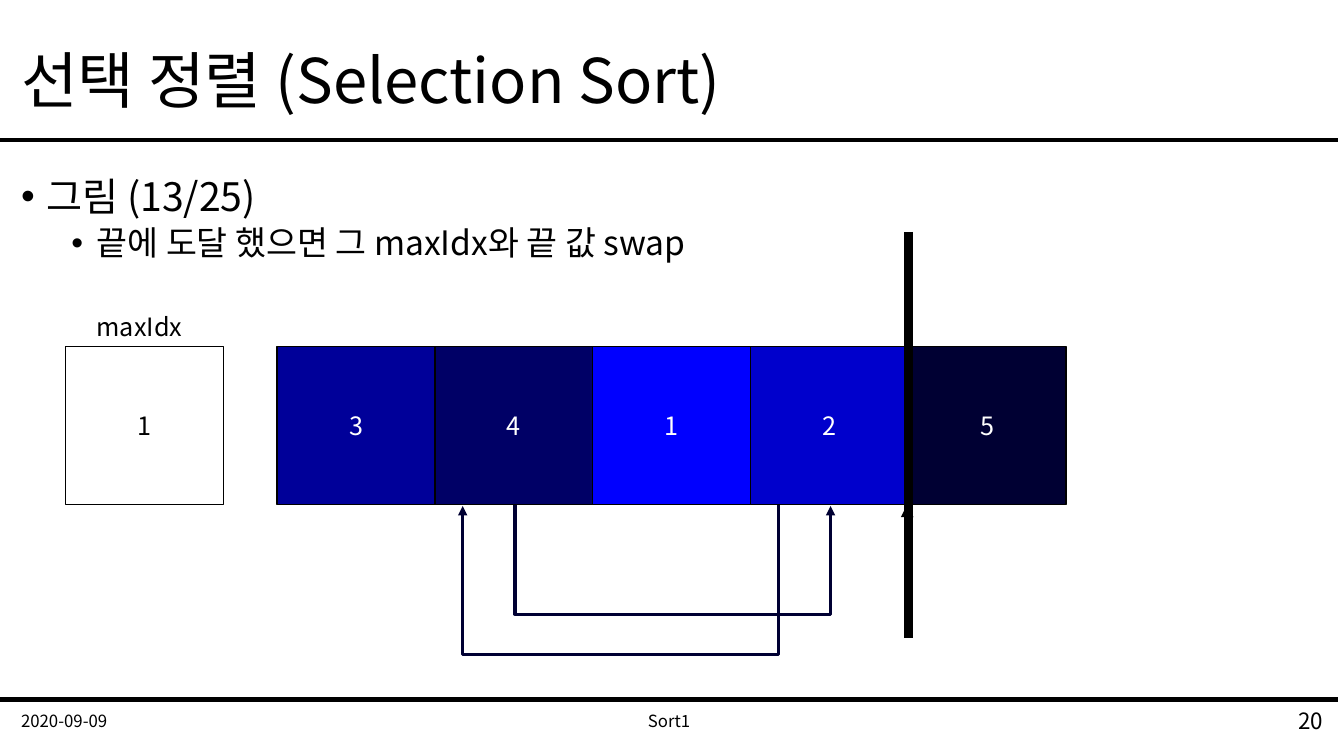
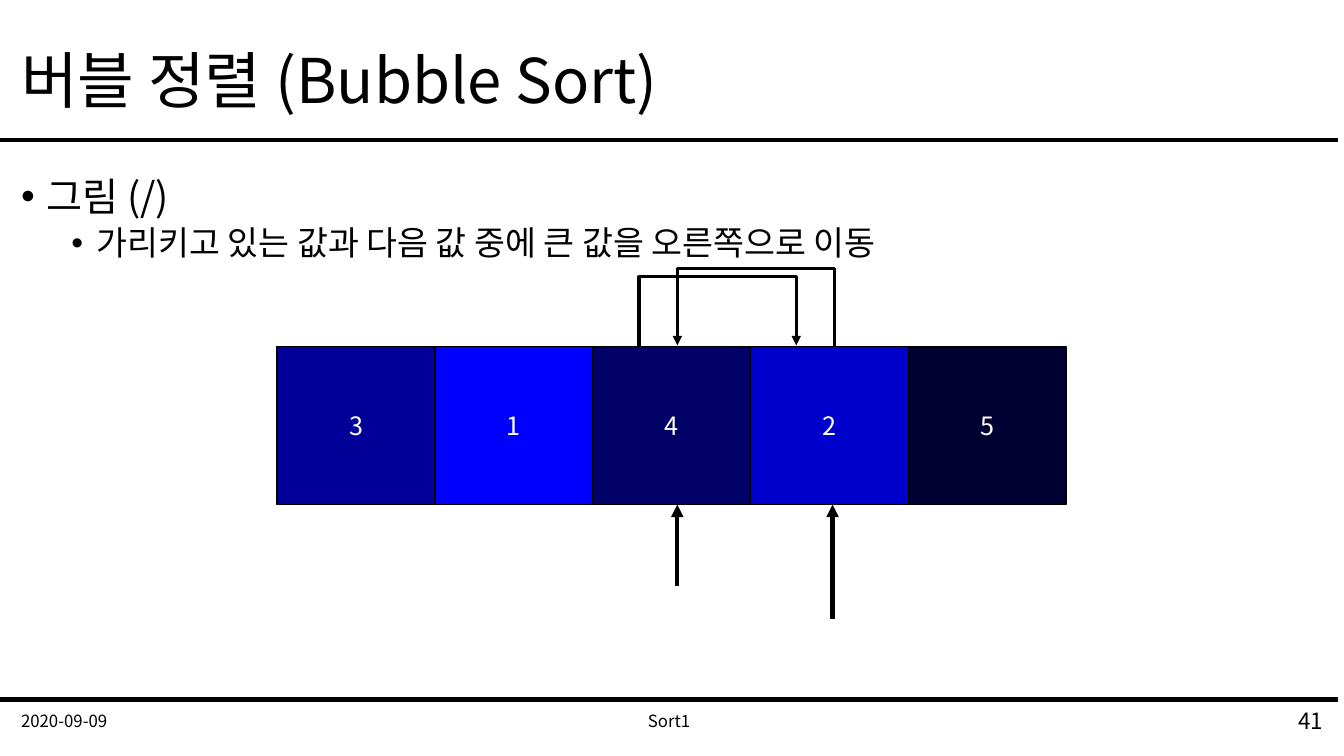
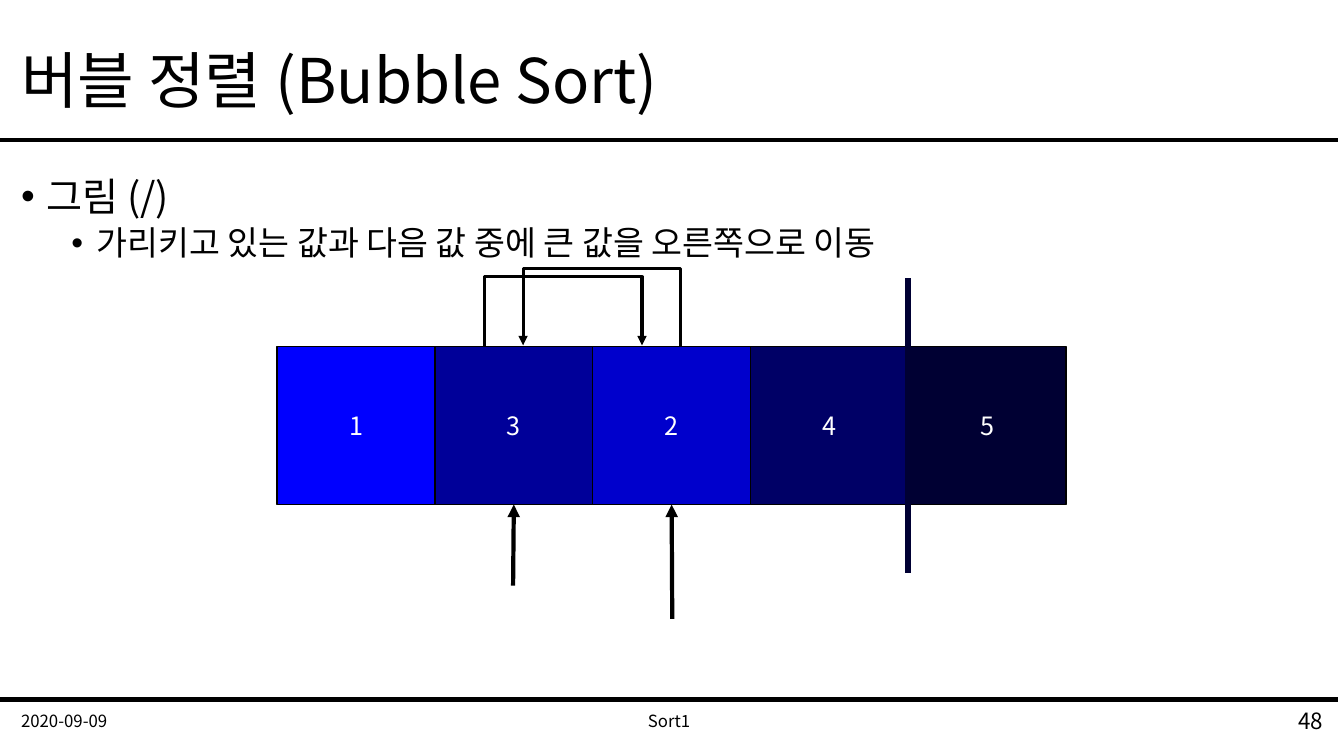
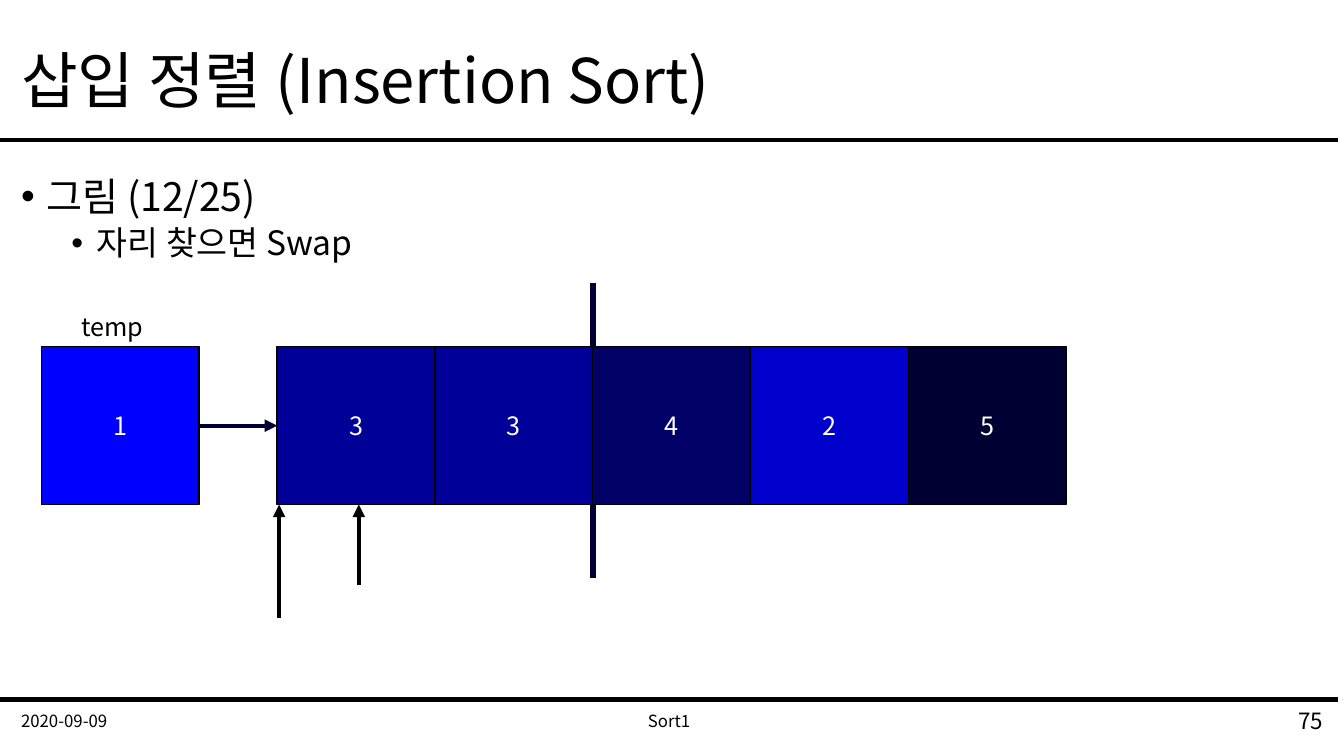
from dataclasses import dataclass
from typing import Optional

from lxml.etree import SubElement as Sub
from pptx import Presentation
from pptx.dml.color import RGBColor
from pptx.enum.shapes import MSO_CONNECTOR as Link, MSO_SHAPE as Form
from pptx.enum.text import MSO_ANCHOR as Anchor, PP_ALIGN as Align
from pptx.oxml.ns import qn
from pptx.util import Pt

# Shared style
FONT = "Noto Sans CJK KR"
BLACK, WHITE, NAVY = "000000", "FFFFFF", "000033"
LEFT, TOP, SIDE = 198, 247.7, 112.7
BASE = TOP + SIDE
EDGE = 8


@dataclass
class Arrow:
    """Pointer rising to the row; cell joins it to that cell's bottom."""
    x: float
    low: float
    cell: Optional[int] = None


@dataclass
class Loop:
    """Three-part arrow; depth is positive below the row, negative above."""
    start: float
    end: float
    depth: float
    color: str = BLACK


@dataclass
class Wall:
    x: float
    top: float
    low: float
    width: float = 4.5
    color: str = NAVY
    behind: bool = False


@dataclass
class Store:
    """Labelled box to the left of the row."""
    name: str
    x: float
    value: int
    inset: float
    width: float
    fill: str
    ink: str
    linked: bool = False


@dataclass
class Page:
    number: int
    title: str
    head: str
    note: str
    row: tuple
    arrows: tuple
    loops: tuple = ()
    wall: Optional[Wall] = None
    store: Optional[Store] = None


def swap(x: float) -> tuple:
    return Loop(x, x + 112.3, -50.4), Loop(x + 139.7, x + 27.3, -56.2)


PAGES = (
    Page(20, "선택 정렬 (Selection Sort)", "그림 (13/25)",
         "끝에 도달 했으면 그 maxIdx와 끝 값 swap", (3, 4, 1, 2, 5),
         (Arrow(648, 418.3),),
         (Loop(367.9, 593.3, 79, NAVY), Loop(555.8, 330.5, 108, NAVY)),
         Wall(648.8, 165.6, 455.8, 6, BLACK),
         Store("maxIdx", 46.8, 1, 15.1, 82.8, WHITE, BLACK)),
    Page(41, "버블 정렬 (Bubble Sort)", "그림 (/)",
         "가리키고 있는 값과 다음 값 중에 큰 값을 오른쪽으로 이동",
         (3, 1, 4, 2, 5), (Arrow(483.8, 418.3), Arrow(594.7, 442)),
         swap(456.5)),
    Page(48, "버블 정렬 (Bubble Sort)", "그림 (/)",
         "가리키고 있는 값과 다음 값 중에 큰 값을 오른쪽으로 이동",
         (1, 3, 2, 4, 5), (Arrow(366.5, 418.3, 1), Arrow(480.2, 442, 2)),
         swap(346.3), Wall(648.8, 198.7, 409)),
    Page(75, "삽입 정렬 (Insertion Sort)", "그림 (12/25)",
         "자리 찾으면 Swap", (3, 3, 4, 2, 5),
         (Arrow(256.3, 417.6), Arrow(199.4, 441.4)),
         wall=Wall(423.4, 202.5, 413, behind=True),
         store=Store("temp", 29.5, 1, 21.6, 69.8, "0000FF", WHITE, True)),
)


def rgb(code: str) -> RGBColor:
    return RGBColor.from_string(code)


# Text
def write(para, words: str, *, size: float = 18, color: str = BLACK,
          align=Align.LEFT, space: Optional[float] = None,
          gap: float = 0, indent: Optional[float] = None) -> None:
    if indent is not None:
        props = para._p.get_or_add_pPr()
        props.set("marL", str(Pt(indent)))
        props.set("indent", str(Pt(-18)))
    para.alignment = align
    para.space_before = Pt(gap)
    if space:
        para.line_spacing = space
    if indent is not None:
        Sub(props, qn("a:buFont"), typeface="Arial")
        Sub(props, qn("a:buChar"), char="•")
    run = para.add_run()
    run.text = words
    run.font.size, run.font.name = Pt(size), FONT
    run.font.color.rgb = rgb(color)
    Sub(run._r.get_or_add_rPr(), qn("a:ea"), typeface=FONT)


def frame(slide, x: float, y: float, width: float, height: float,
          anchor=Anchor.MIDDLE):
    body = slide.shapes.add_textbox(
        Pt(x), Pt(y), Pt(width), Pt(height)).text_frame
    body.word_wrap = True
    body.vertical_anchor = anchor
    return body


# Shapes and lines
def cell(slide, x: float, value: int, fill: str, ink: str = WHITE):
    box = slide.shapes.add_shape(
        Form.RECTANGLE, Pt(x), Pt(TOP), Pt(SIDE), Pt(SIDE))
    box.shadow.inherit = False
    box.fill.solid()
    box.fill.fore_color.rgb = rgb(fill)
    box.line.color.rgb, box.line.width = rgb(BLACK), Pt(1)
    box.text_frame.vertical_anchor = Anchor.MIDDLE
    write(box.text_frame.paragraphs[0], str(value), color=ink,
          align=Align.CENTER)
    return box


def line(slide, x: float, y: float, right: float, low: float, *,
         width: float = 3, color: str = BLACK, head: bool = False,
         kind=Link.STRAIGHT):
    link = slide.shapes.add_connector(
        kind, Pt(x), Pt(y), Pt(right), Pt(low))
    link.line.color.rgb, link.line.width = rgb(color), Pt(width)
    props = link.element.spPr
    if head:
        Sub(props.find(qn("a:ln")), qn("a:tailEnd"), type="triangle")
    Sub(props, qn("a:effectLst"))
    return link


def bend(slide, loop: Loop) -> None:
    """Draw a turned elbow whose ends are one point apart in height."""
    down, right = loop.depth > 0, loop.end > loop.start
    mid = (loop.start + loop.end) / 2
    level = BASE + 0.5 if down else TOP - 0.5
    dx = 0.5 if right else -0.5
    dy = abs(loop.end - loop.start) / 2 * (-1 if down else 1)
    link = line(slide, mid + dx, level + dy, mid - dx, level - dy,
                width=2.25, color=loop.color, head=True, kind=Link.ELBOW)
    props = link.element.spPr
    turn = 270 if down == right else 90
    props.find(qn("a:xfrm")).set("rot", str(turn * 60000))
    Sub(props.find(qn("a:prstGeom")).find(qn("a:avLst")), qn("a:gd"),
        name="adj1", fmla=f"val {round(abs(loop.depth) * 100000)}")


def divide(slide, wall: Wall) -> None:
    line(slide, wall.x, wall.top, wall.x, wall.low,
         width=wall.width, color=wall.color)


# Slide parts
def base(slide, page: Page) -> None:
    for y in (100.1, 499.7):
        line(slide, 0, y, 956, y)
    title = frame(slide, EDGE, 10.8, 944, 97.2)
    write(title.paragraphs[0], page.title, size=44, space=0.9)
    body = frame(slide, EDGE, 123.1, 944, 362, Anchor.TOP)
    write(body.paragraphs[0], page.head, size=28, space=0.9, indent=18)
    para = body.add_paragraph()
    para.level = 1
    write(para, page.note, size=24, space=0.9, gap=5, indent=54)
    for x, width, words, size, align in (
            (EDGE, 216, "2020-09-09", 12, Align.LEFT),
            (316, 324, "Sort1", 12, Align.CENTER),
            (736, 216, str(page.number), 16, Align.RIGHT)):
        foot = frame(slide, x, 500.4, width, 28.8)
        write(foot.paragraphs[0], words, size=size, align=align)


def hold(slide, store: Store, first) -> None:
    box = cell(slide, store.x, store.value, store.fill, store.ink)
    label = frame(slide, store.x + store.inset, 218.9, store.width, 29,
                  Anchor.TOP)
    write(label.paragraphs[0], store.name)
    if store.linked:
        mid = TOP + SIDE / 2
        link = line(slide, store.x + SIDE, mid, LEFT, mid,
                    color=NAVY, head=True)
        link.begin_connect(box, 3)
        link.end_connect(first, 1)


def draw(slide, page: Page) -> None:
    base(slide, page)
    wall = page.wall
    if wall and wall.behind:
        divide(slide, wall)
    row = [cell(slide, LEFT + i * SIDE, n, f"0000{(6 - n) * 51:02X}")
           for i, n in enumerate(page.row)]
    for arrow in page.arrows:
        link = line(slide, arrow.x, arrow.low, arrow.x, BASE, head=True)
        if arrow.cell is not None:
            link.end_connect(row[arrow.cell], 2)
    if page.store:
        hold(slide, page.store, row[0])
    if wall and not wall.behind:
        divide(slide, wall)
    for loop in page.loops:
        bend(slide, loop)


def main() -> None:
    deck = Presentation()
    deck.slide_width, deck.slide_height = Pt(960), Pt(540)
    for page in PAGES:
        draw(deck.slides.add_slide(deck.slide_layouts[6]), page)
    deck.save("out.pptx")


if __name__ == "__main__":
    main()
